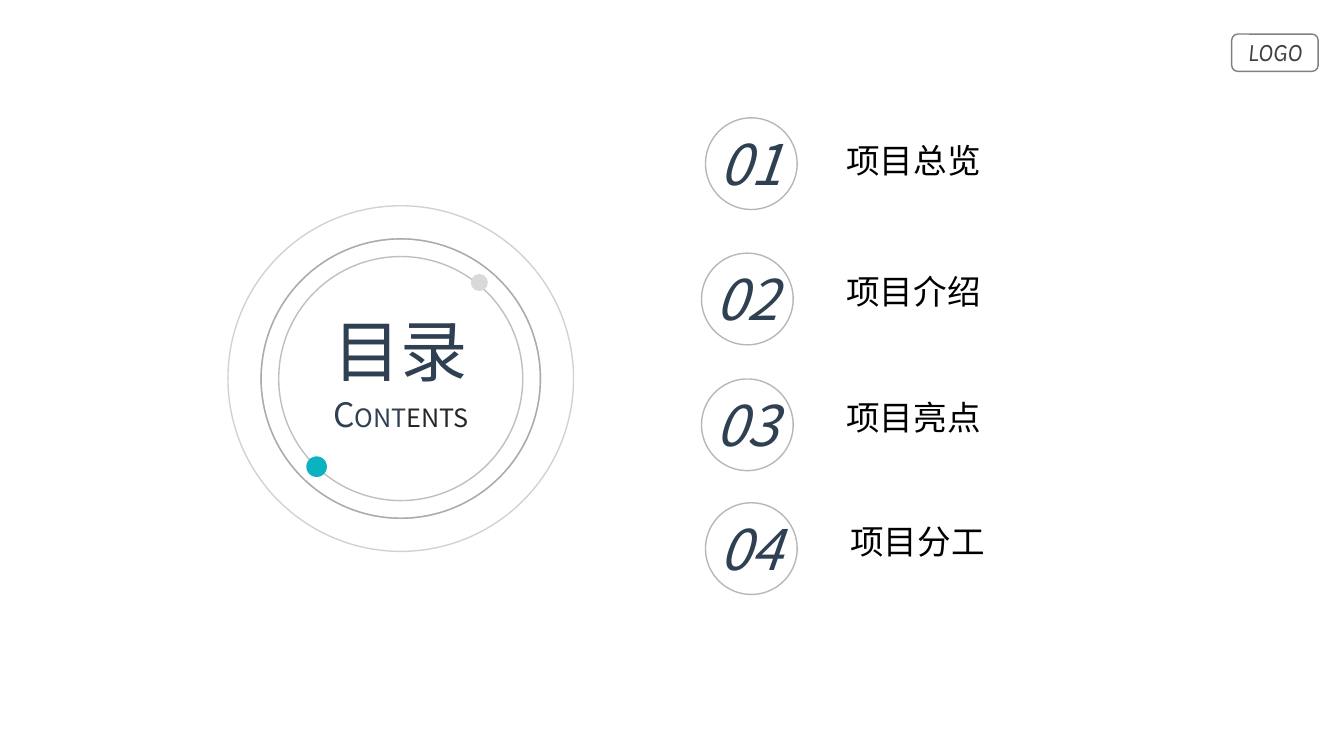
from lxml.etree import SubElement
from pptx import Presentation
from pptx.dml.color import RGBColor
from pptx.enum.shapes import MSO_SHAPE as Shape
from pptx.enum.text import MSO_AUTO_SIZE as AutoSize, PP_ALIGN as Align
from pptx.oxml.ns import qn
from pptx.util import Cm, Pt

NAVY = RGBColor(0x2E, 0x40, 0x52)
TEAL = RGBColor(0x0B, 0xB3, 0xC1)
BLACK = RGBColor(0, 0, 0)
CHARCOAL = RGBColor(0x26, 0x26, 0x26)
DARK_GREY = RGBColor(0x40, 0x40, 0x40)
MID_GREY = RGBColor(0x80, 0x80, 0x80)
RING_GREY = RGBColor(0xA6, 0xA6, 0xA6)
SOFT_GREY = RGBColor(0xBF, 0xBF, 0xBF)
PALE_GREY = RGBColor(0xD9, 0xD9, 0xD9)
SANS = "Noto Sans CJK SC"

TITLE = "目录"
SUBTITLE = [("C", 24, NAVY), ("ONT", 18, NAVY), ("ENTS", 18, CHARCOAL)]
CHAPTERS = [
    ("项目总览", 17.78, 2.97, 21.08, 3.4),
    ("项目介绍", 17.68, 6.38, 21.08, 6.71),
    ("项目亮点", 17.68, 9.55, 21.08, 9.88),
    ("项目分工", 17.78, 12.67, 21.18, 13),
]
BADGE = 2.31
CENTER = (10.1, 9.54)
RINGS = [(6.15, SOFT_GREY, 100), (7.04, RING_GREY, 70),
         (7.04, RING_GREY, 80), (8.71, RING_GREY, 50)]
DOTS = [(7.98, 11.76, 0.52, TEAL), (12.08, 7.12, 0.43, PALE_GREY)]

deck = Presentation()
deck.slide_width, deck.slide_height = Cm(33.87), Cm(19.05)
slide = deck.slides.add_slide(deck.slide_layouts[6])


def add_outline(kind, left, top, width, height, color, opacity=100):
    outline = slide.shapes.add_shape(kind, Cm(left), Cm(top), Cm(width), Cm(height))
    outline.shadow.inherit = False
    outline.fill.background()
    outline.line.color.rgb = color
    outline.line.width = Pt(1)
    if opacity < 100:
        tint = outline.line._get_or_add_ln().find(".//" + qn("a:srgbClr"))
        SubElement(tint, qn("a:alpha"), val=str(opacity * 1000))


def add_text(text, left, top, width, height, size=24, color=BLACK, font=SANS,
             italic=False, align=Align.LEFT, wrap=True):
    box = slide.shapes.add_textbox(Cm(left), Cm(top), Cm(width), Cm(height))
    frame = box.text_frame
    frame.word_wrap = wrap
    frame.auto_size = AutoSize.SHAPE_TO_FIT_TEXT
    line = frame.paragraphs[0]
    line.alignment = align
    pieces = [(text, size, color)] if isinstance(text, str) else text
    for piece, piece_size, piece_color in pieces:
        run = line.add_run()
        run.text = piece
        run.font.name = font
        run.font.size = Pt(piece_size)
        run.font.italic = italic
        run.font.color.rgb = piece_color
        SubElement(run.font._element, qn("a:ea"), typeface=font)


add_outline(Shape.ROUNDED_RECTANGLE, 31.04, 0.86, 2.18, 0.94, MID_GREY)
add_text("LOGO", 30.81, 0.79, 2.64, 1.02, size=18, color=DARK_GREY,
         font="Karla", italic=True, align=Align.CENTER)

center_x, center_y = CENTER
for diameter, color, opacity in RINGS:
    add_outline(Shape.OVAL, center_x - diameter / 2, center_y - diameter / 2,
                diameter, diameter, color, opacity)

for dot_x, dot_y, diameter, color in DOTS:
    dot = slide.shapes.add_shape(Shape.OVAL, Cm(dot_x - diameter / 2),
                                 Cm(dot_y - diameter / 2), Cm(diameter), Cm(diameter))
    dot.shadow.inherit = False
    dot.fill.solid()
    dot.fill.fore_color.rgb = color
    dot.line.fill.background()

add_text(TITLE, 7.21, 7.67, 5.77, 2.31, size=48, color=NAVY, align=Align.CENTER)
add_text(SUBTITLE, 8.05, 9.8, 4.11, 1.27, align=Align.CENTER, wrap=False)

for number, (chapter, left, top, chapter_left, chapter_top) in enumerate(CHAPTERS, 1):
    add_text(chapter, chapter_left, chapter_top, 4.65, 1.27)
    add_text(f"{number:02}", left + 0.1, top + 0.17, 2.18, 1.96, size=40,
             color=NAVY, italic=True, wrap=False)
    add_outline(Shape.OVAL, left, top, BADGE, BADGE, RING_GREY, 80)

deck.save("out.pptx")
